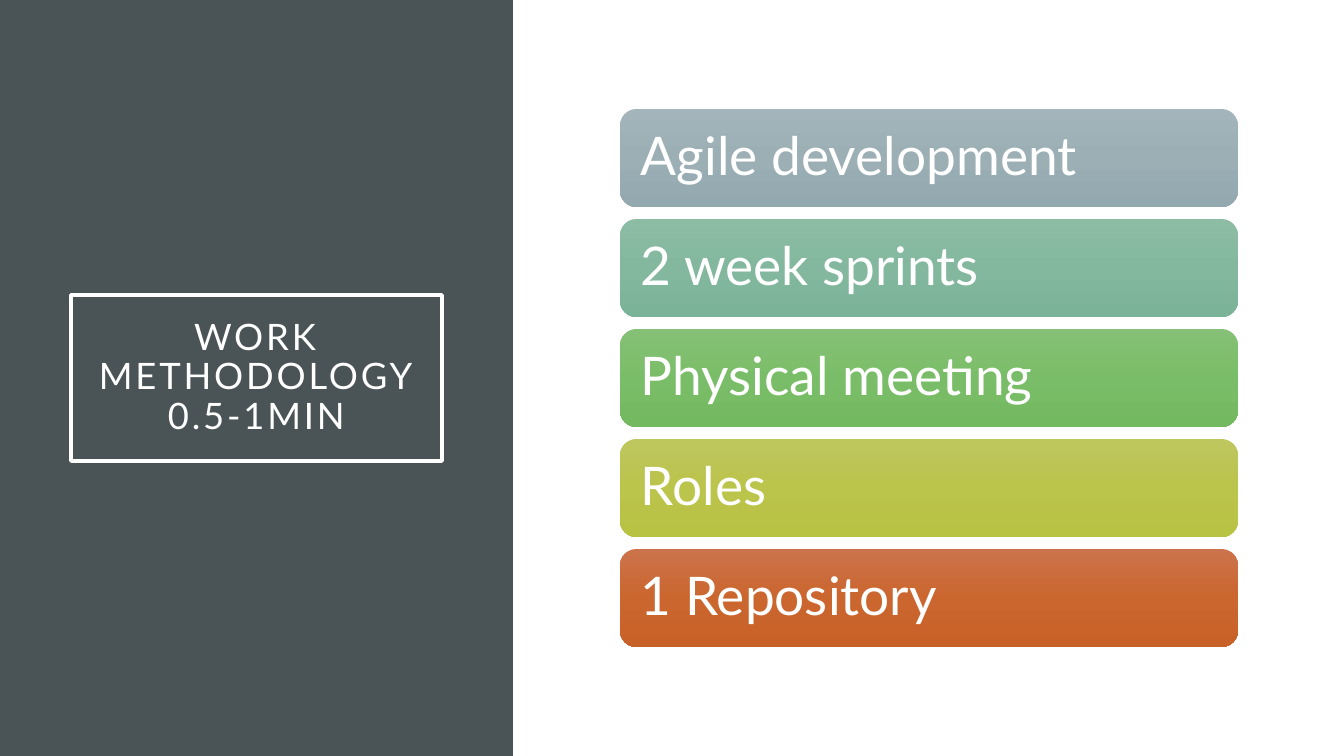
from copy import deepcopy
from dataclasses import dataclass

from pptx import Presentation
from pptx.dml.color import RGBColor
from pptx.enum.shapes import MSO_SHAPE
from pptx.enum.text import MSO_ANCHOR, PP_ALIGN
from pptx.oxml.ns import qn
from pptx.util import Pt

RECT = MSO_SHAPE.RECTANGLE
ROUND = MSO_SHAPE.ROUNDED_RECTANGLE
MIDDLE = MSO_ANCHOR.MIDDLE
LEFT, CENTER = PP_ALIGN.LEFT, PP_ALIGN.CENTER

SCALE = 914400 / 100.8
WIDTH, HEIGHT = 1344, 756


@dataclass(frozen=True)
class Theme:
    font: str = "Lato"
    panel: str = "4A5356"
    light: str = "FFFFFF"
    title: int = 26
    item: int = 38
    track: int = 200
    leading: float = 0.9
    frame: float = 2.5


THEME = Theme()

TITLE = "WORK METHODOLOGY 0.5-1MIN"
ITEMS = [
    ("Agile development", ("A3B5BB", "9BAFB5", "93A9AF")),
    ("2 week sprints", ("8DBCA5", "83B89E", "7BB398")),
    ("Physical meeting", ("85C076", "7ABD68", "73B960")),
    ("Roles", ("BEC65E", "BBC44B", "B8C243")),
    ("1 Repository", ("CC734B", "CB662F", "C86128")),
]


def px(n):
    return round(n * SCALE)


def rgb(code):
    return RGBColor.from_string(code)


def add_box(slide, kind, box):
    """Add a shape with no shadow, fill or line."""
    shape = slide.shapes.add_shape(kind, *map(px, box))
    shape.shadow.inherit = False
    shape.fill.background()
    shape.line.fill.background()
    return shape


def write(shape, text, size, align, inset):
    frame = shape.text_frame
    frame.text = text
    frame.word_wrap = True
    frame.vertical_anchor = MIDDLE
    frame.margin_left = frame.margin_right = px(inset)
    frame.margin_top = frame.margin_bottom = px(inset)
    para = frame.paragraphs[0]
    para.alignment = align
    para.line_spacing = THEME.leading
    run = para.runs[0]
    run.font.name = THEME.font
    run.font.size = Pt(size)
    run.font.color.rgb = rgb(THEME.light)
    return run


def shade(shape, colors):
    """Fill from top to bottom with three evenly spaced colours."""
    fill = shape.fill
    fill.gradient()
    fill.gradient_angle = 270
    first = shape._element.spPr.find(".//" + qn("a:gs"))
    first.addnext(deepcopy(first))
    for i, (stop, color) in enumerate(zip(fill.gradient_stops, colors)):
        stop.position = i / 2
        stop.color.rgb = rgb(color)


def add_panel(slide, box):
    x, y, w, h = box
    panel = add_box(slide, RECT, box)
    panel.fill.solid()
    panel.fill.fore_color.rgb = rgb(THEME.panel)

    title = add_box(slide, RECT, (x + 71, y + 295, w - 142, h - 590))
    title.line.color.rgb = rgb(THEME.light)
    title.line.width = Pt(THEME.frame)
    run = write(title, TITLE, THEME.title, CENTER, 20)
    run._r.get_or_add_rPr().set("spc", str(THEME.track))


def add_list(slide, box, gap=12):
    x, y, w, h = box
    tall = (h + gap) // len(ITEMS) - gap
    for i, (text, colors) in enumerate(ITEMS):
        bar = add_box(slide, ROUND, (x, y + i * (tall + gap), w, tall))
        shade(bar, colors)
        write(bar, text, THEME.item, LEFT, 16)


def main():
    deck = Presentation()
    deck.slide_width, deck.slide_height = px(WIDTH), px(HEIGHT)
    slide = deck.slides.add_slide(deck.slide_layouts[6])
    add_panel(slide, (0, 0, 513, HEIGHT))
    add_list(slide, (620, 109, 618, 538))
    deck.save("out.pptx")


if __name__ == "__main__":
    main()
